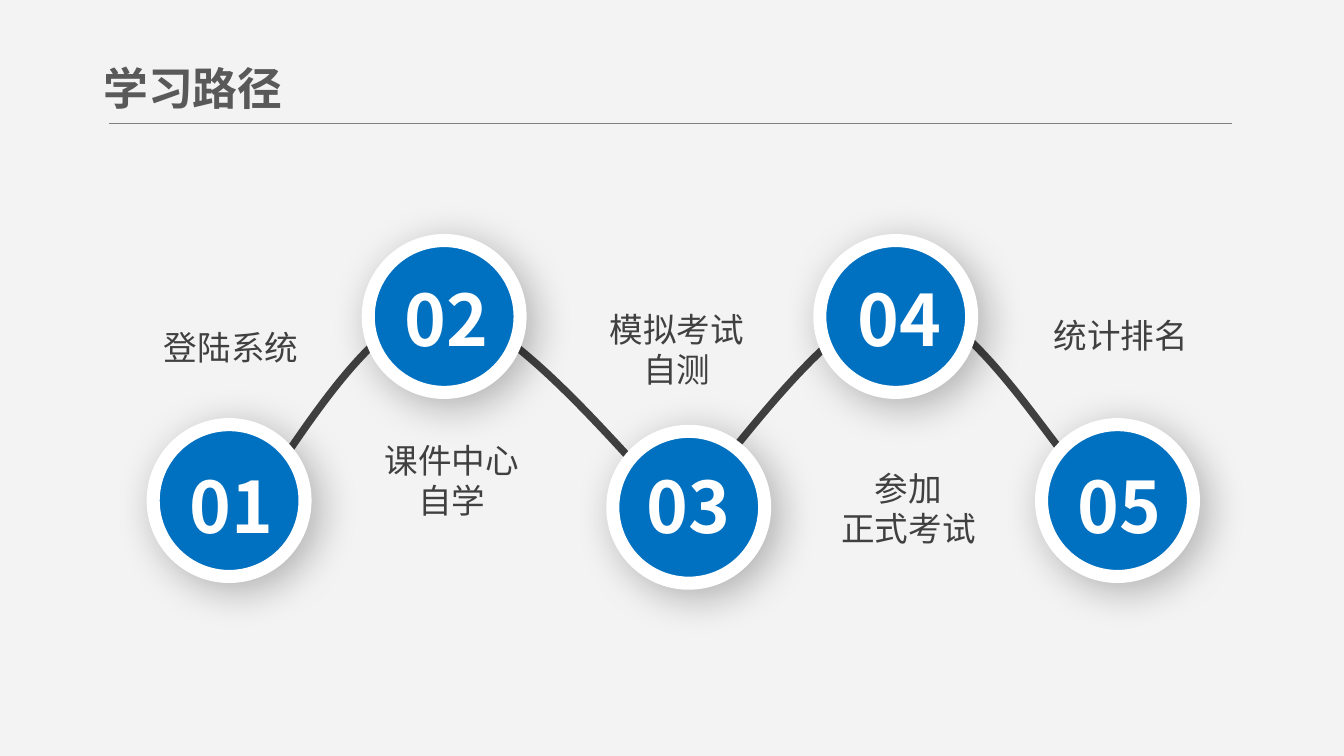
from dataclasses import dataclass

from lxml import etree
from pptx import Presentation
from pptx.dml.color import RGBColor
from pptx.enum.shapes import MSO_CONNECTOR, MSO_SHAPE
from pptx.enum.text import MSO_ANCHOR, MSO_AUTO_SIZE, PP_ALIGN
from pptx.oxml.ns import qn
from pptx.util import Inches, Pt

STRAIGHT = MSO_CONNECTOR.STRAIGHT
OVAL = MSO_SHAPE.OVAL
TOP, MIDDLE = MSO_ANCHOR.TOP, MSO_ANCHOR.MIDDLE
GROW, FIXED = MSO_AUTO_SIZE.SHAPE_TO_FIT_TEXT, MSO_AUTO_SIZE.NONE
LEFT, CENTER = PP_ALIGN.LEFT, PP_ALIGN.CENTER
FONT = "Noto Sans CJK SC"
DARK, WHITE, BLUE = "404040", "FFFFFF", "0070C0"
BADGE_SIZE = 1.13


@dataclass(frozen=True)
class TextStyle:
    """Look of the text in one box."""

    size: float
    color: str
    bold: bool = False
    alignment: PP_ALIGN = CENTER
    anchor: MSO_ANCHOR = TOP
    autosize: MSO_AUTO_SIZE = GROW
    side_inset: float = 0.07
    edge_inset: float = 0.04


@dataclass(frozen=True)
class Label:
    """A step description and its box, in inches."""

    lines: tuple[str, ...]
    left: float
    top: float
    width: float
    height: float


@dataclass(frozen=True)
class Badge:
    """A numbered circle with the place of its number, in inches."""

    number: str
    left: float
    top: float
    number_left: float
    number_top: float


TITLE_STYLE = TextStyle(24, "595959", True, LEFT, MIDDLE, FIXED, 0.1, 0.05)
LABEL_STYLE = TextStyle(18, DARK)
NUMBER_STYLE = TextStyle(38, WHITE, True)

TITLE = Label(("学习路径",), 0.67, 0.38, 2.47, 0.54)
LABELS = (
    Label(("登陆系统",), 0.98, 2.39, 1.48, 0.38),
    Label(("课件中心自学",), 2.77, 3.23, 1.18, 0.68),
    Label(("模拟考试自测",), 4.35, 2.26, 1.37, 0.68),
    Label(("参加", "正式考试"), 6.17, 3.44, 1.18, 0.68),
    Label(("统计排名",), 7.6, 2.3, 1.48, 0.38),
)
BADGES = (
    Badge("02", 2.74, 1.79, 2.89, 2.01),
    Badge("03", 4.56, 3.21, 4.69, 3.4),
    Badge("04", 6.1, 1.79, 6.26, 2.01),
    Badge("05", 7.75, 3.16, 7.9, 3.4),
    Badge("01", 1.14, 3.16, 1.29, 3.4),
)
PATH_START = (1.81, 3.83)
PATH_CURVES = (
    ((2.05, 3.58), (2.72, 2.3), (3.27, 2.3)),
    ((3.81, 2.3), (4.79, 3.58), (5.09, 3.83)),
    ((5.4, 4.08), (4.82, 4.05), (5.09, 3.78)),
    ((5.36, 3.52), (6.19, 2.28), (6.7, 2.26)),
    ((7.21, 2.24), (7.85, 3.38), (8.16, 3.67)),
)


def rgb(color: str) -> RGBColor:
    """Turn a hex string into a colour."""
    return RGBColor.from_string(color)


def add_label(shapes, label: Label, style: TextStyle) -> None:
    """Add a text box with one paragraph per line."""
    box = shapes.add_textbox(
        Inches(label.left), Inches(label.top), Inches(label.width), Inches(label.height)
    )
    frame = box.text_frame
    frame.word_wrap = True
    frame.auto_size = style.autosize
    frame.vertical_anchor = style.anchor
    frame.margin_left = frame.margin_right = Inches(style.side_inset)
    frame.margin_top = frame.margin_bottom = Inches(style.edge_inset)
    for index, line in enumerate(label.lines):
        paragraph = frame.add_paragraph() if index else frame.paragraphs[0]
        paragraph.alignment = style.alignment
        run = paragraph.add_run()
        run.text = line
        run.font.size = Pt(style.size)
        run.font.bold = style.bold
        run.font.color.rgb = rgb(style.color)
        run.font.name = FONT
        etree.SubElement(run.font._element, qn("a:ea"), typeface=FONT)


def add_rule(shapes) -> None:
    """Add the thin line under the title."""
    rule = shapes.add_connector(
        STRAIGHT, Inches(0.81), Inches(0.92), Inches(9.17), Inches(0.92)
    )
    rule.line.color.rgb = rgb("808080")
    rule.line.width = Pt(0.75)
    etree.SubElement(rule._element.spPr, qn("a:effectLst"))


def add_path(shapes) -> None:
    """Add the curve that links the steps."""
    builder = shapes.build_freeform(*(Inches(value) for value in PATH_START))
    points = [(Inches(x), Inches(y)) for curve in PATH_CURVES for x, y in curve]
    builder.add_line_segments(points, close=False)
    shape = builder.convert_to_shape()
    shape.shadow.inherit = False
    shape.fill.background()
    shape.line.color.rgb = rgb(DARK)
    shape.line.width = Pt(4)
    outline = next(shape._element.iter(qn("a:path")))
    segments = outline.findall(qn("a:lnTo"))
    for start in range(0, len(segments), 3):
        curve = etree.SubElement(outline, qn("a:cubicBezTo"))
        for segment in segments[start:start + 3]:
            curve.append(segment[0])
            outline.remove(segment)


def add_soft_shadow(shape) -> None:
    """Give a shape a blurred shadow to the lower right."""
    shape.shadow.inherit = False
    effects = shape._element.spPr.find(qn("a:effectLst"))
    shadow = etree.SubElement(
        effects, qn("a:outerShdw"), blurRad=str(Pt(22)), dist=str(Pt(6)),
        dir=str(45 * 60000), algn="tl", rotWithShape="0",
    )
    color = etree.SubElement(shadow, qn("a:srgbClr"), val="000000")
    etree.SubElement(color, qn("a:alpha"), val="28000")


def add_badge(shapes, badge: Badge) -> None:
    """Add a grouped circle and number."""
    group = shapes.add_group_shape()
    circle = group.shapes.add_shape(
        OVAL, Inches(badge.left), Inches(badge.top),
        Inches(BADGE_SIZE), Inches(BADGE_SIZE),
    )
    circle.fill.solid()
    circle.fill.fore_color.rgb = rgb(BLUE)
    circle.line.color.rgb = rgb(WHITE)
    circle.line.width = Pt(7)
    add_soft_shadow(circle)
    number = Label((badge.number,), badge.number_left, badge.number_top, 0.86, 0.69)
    add_label(group.shapes, number, NUMBER_STYLE)


def main() -> None:
    """Build and save the learning path slide."""
    presentation = Presentation()
    presentation.slide_width = Inches(10)
    presentation.slide_height = Inches(10) * 9 // 16
    slide = presentation.slides.add_slide(presentation.slide_layouts[6])
    slide.background.fill.solid()
    slide.background.fill.fore_color.rgb = rgb("F3F3F3")
    add_label(slide.shapes, TITLE, TITLE_STYLE)
    add_rule(slide.shapes)
    add_path(slide.shapes)
    for label in LABELS:
        add_label(slide.shapes, label, LABEL_STYLE)
    for badge in BADGES:
        add_badge(slide.shapes, badge)
    presentation.save("out.pptx")


if __name__ == "__main__":
    main()
